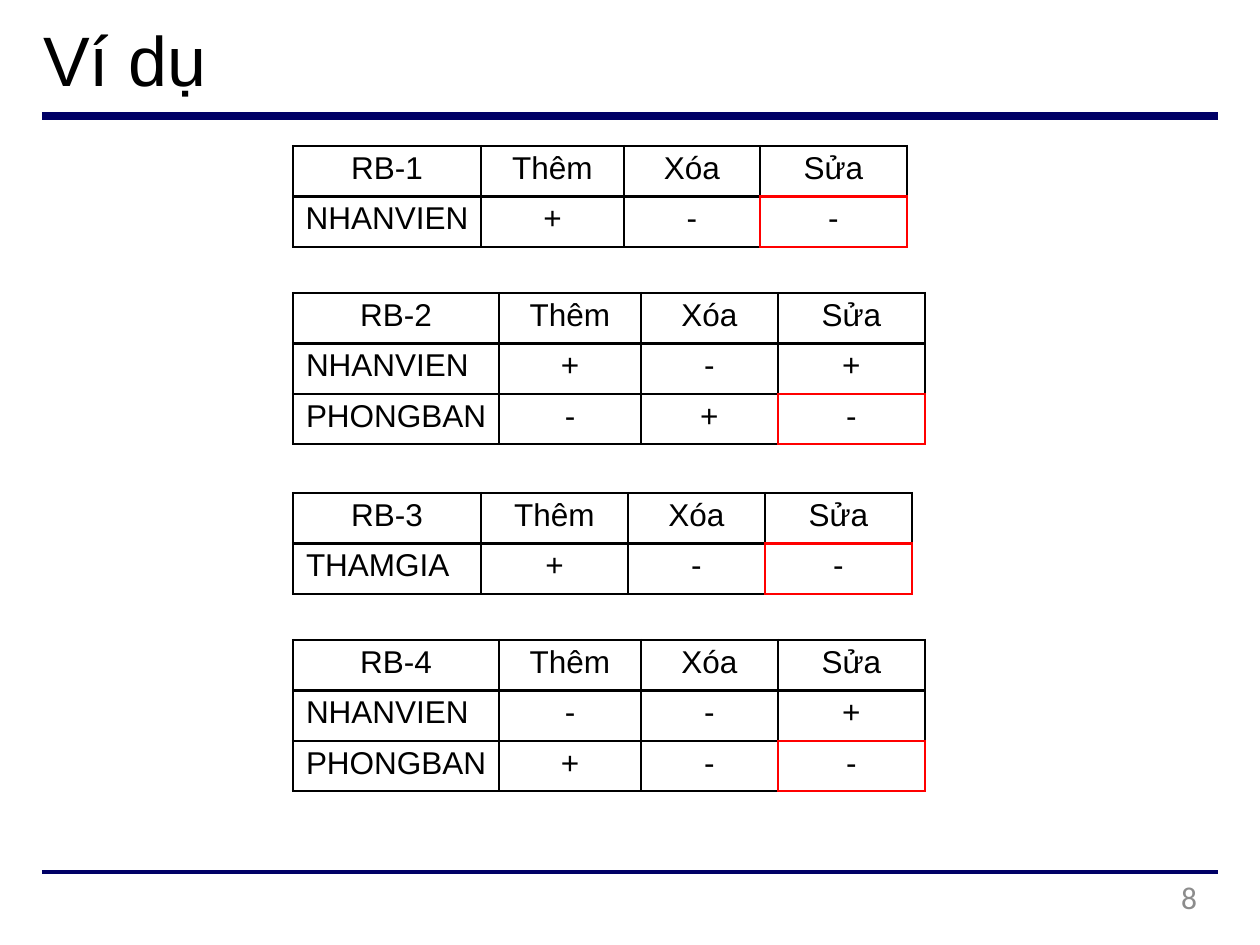
from lxml import etree
from pptx import Presentation
from pptx.dml.color import RGBColor
from pptx.enum.shapes import MSO_CONNECTOR
from pptx.enum.text import MSO_ANCHOR, PP_ALIGN
from pptx.oxml.ns import qn
from pptx.util import Pt

EMU_PER_PX = 914400 / 126
BLACK = RGBColor(0, 0, 0)
RED = RGBColor(0xFF, 0, 0)
NAVY = RGBColor(0, 0, 0x66)
GREY = RGBColor(0x8C, 0x8C, 0x8C)
LEFT, CENTER, RIGHT = PP_ALIGN.LEFT, PP_ALIGN.CENTER, PP_ALIGN.RIGHT
TOP = MSO_ANCHOR.TOP
STRAIGHT = MSO_CONNECTOR.STRAIGHT

TABLE_LEFT, ROW_HEIGHT = 293, 50.4
OPERATIONS = ["Thêm", "Xóa", "Sửa"]
# top, column widths, alignment of relation names, constraint, effects per relation
CONSTRAINTS = [
    (146, [188, 143, 136, 147], CENTER, "RB-1", [["NHANVIEN", "+", "-", "-"]]),
    (293, [206, 142, 137, 147], LEFT, "RB-2",
     [["NHANVIEN", "+", "-", "+"], ["PHONGBAN", "-", "+", "-"]]),
    (493, [188, 147, 137, 147], LEFT, "RB-3", [["THAMGIA", "+", "-", "-"]]),
    (640, [206, 142, 137, 147], LEFT, "RB-4",
     [["NHANVIEN", "-", "-", "+"], ["PHONGBAN", "+", "-", "-"]]),
]


def px(length):
    return round(length * EMU_PER_PX)


def write(frame, text, align, size, font_name, color):
    frame.word_wrap = True
    paragraph = frame.paragraphs[0]
    paragraph.alignment = align
    run = paragraph.add_run()
    run.text = text
    style = {"size": Pt(size), "name": font_name, "bold": False}
    for attribute, value in style.items():
        setattr(run.font, attribute, value)
    run.font.color.rgb = color


prs = Presentation()
prs.slide_width, prs.slide_height = px(1260), px(945)
slide = prs.slides.add_slide(prs.slide_layouts[5])

for y, weight in [(116, 4.5), (872, 2.25)]:
    rule = slide.shapes.add_connector(STRAIGHT, px(42), px(y), px(1218), px(y))
    rule.line.color.rgb = NAVY
    rule.line.width = Pt(weight)
    etree.SubElement(rule._element.spPr, qn("a:effectLst"))

title = slide.shapes.title
page_number = slide.shapes.add_textbox(0, 0, 0, 0)
for holder, box, inset_top, text, align, size, font_name, color in [
    (title, (42, 9, 1113, 93), 8, "Ví dụ", LEFT, 40, "Arial", BLACK),
    (page_number, (907, 878, 290, 48), 0, "8", RIGHT, 18, "Calibri", GREY),
]:
    holder.left, holder.top, holder.width, holder.height = map(px, box)
    frame = holder.text_frame
    margins = {"margin_left": px(1) if holder is title else 0, "margin_right": 0,
               "margin_top": px(inset_top), "margin_bottom": 0,
               "vertical_anchor": TOP}
    for attribute, value in margins.items():
        setattr(frame, attribute, value)
    write(frame, text, align, size, font_name, color)

for top, widths, name_align, constraint, effects in CONSTRAINTS:
    rows = [[constraint, *OPERATIONS], *effects]
    last_row, last_col = len(rows) - 1, len(widths) - 1
    table = slide.shapes.add_table(
        len(rows), len(widths), px(TABLE_LEFT), px(top),
        px(sum(widths)), px(ROW_HEIGHT * len(rows))).table
    table.first_row = table.horz_banding = False
    for column, width in zip(table.columns, widths):
        column.width = px(width)
    for r, row in enumerate(rows):
        table.rows[r].height = px(ROW_HEIGHT)
        for c, text in enumerate(row):
            cell = table.cell(r, c)
            cell.fill.background()
            align = name_align if r and not c else CENTER
            margins = {"margin_left": px(13) if align == LEFT else 0,
                       "margin_right": 0, "margin_top": px(5),
                       "margin_bottom": 0, "vertical_anchor": TOP}
            for attribute, value in margins.items():
                setattr(cell, attribute, value)
            write(cell.text_frame, text, align, 18, "Arial", BLACK)

            # The last cell is framed in red, also on the edges its neighbours share.
            highlighted = (r, c) == (last_row, last_col)
            red_edges = {"lnR": (r, c) == (last_row, last_col - 1),
                         "lnB": (r, c) == (last_row - 1, last_col)}
            properties = cell._tc.get_or_add_tcPr()
            for position, edge in enumerate(["lnL", "lnR", "lnT", "lnB"]):
                color = RED if highlighted or red_edges.get(edge) else BLACK
                border = etree.Element(qn(f"a:{edge}"), w=str(Pt(1.5)))
                fill = etree.SubElement(border, qn("a:solidFill"))
                etree.SubElement(fill, qn("a:srgbClr"), val=str(color))
                properties.insert(position, border)

prs.save("out.pptx")
